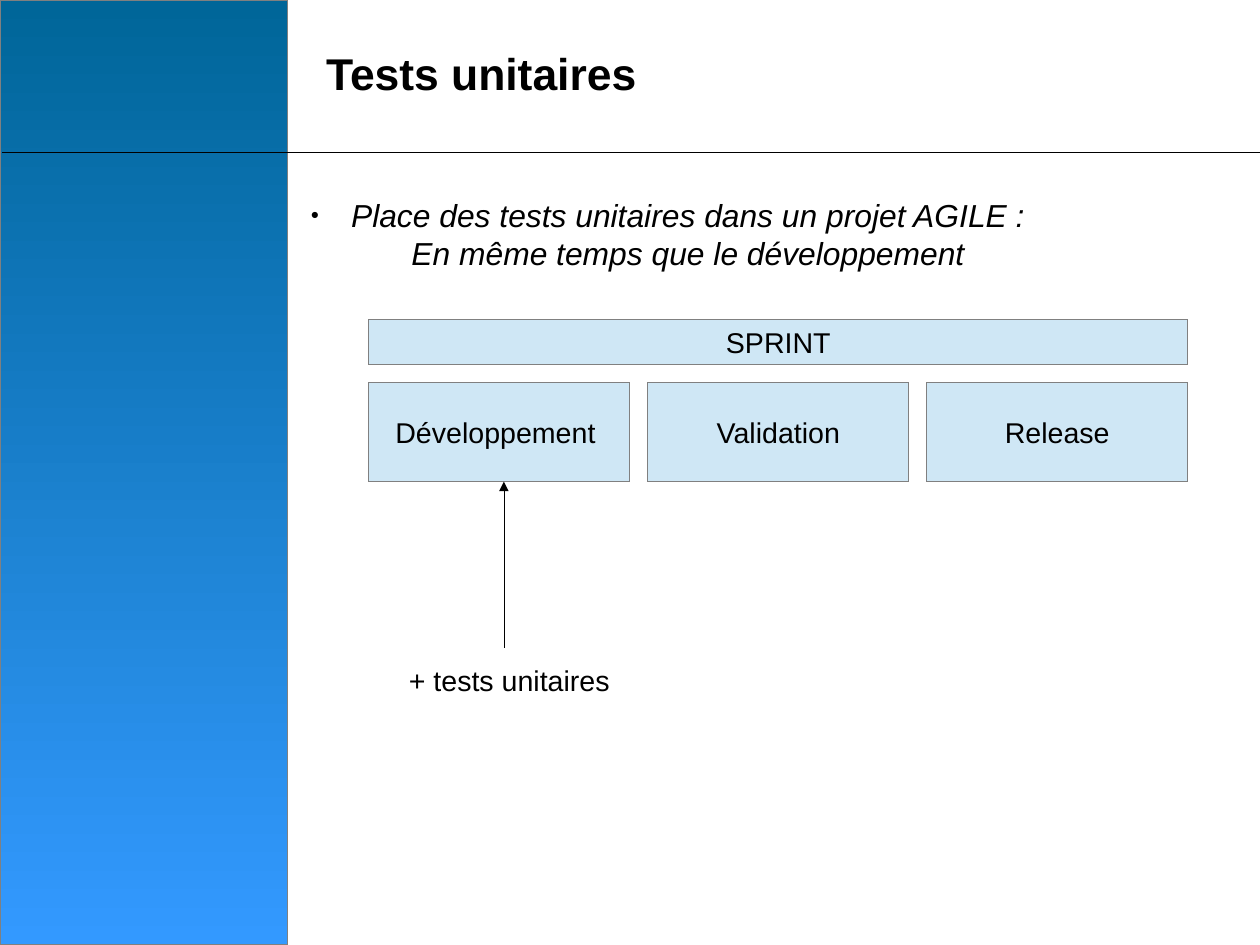
from lxml.etree import SubElement
from pptx import Presentation
from pptx.dml.color import RGBColor
from pptx.enum.shapes import MSO_CONNECTOR, MSO_SHAPE
from pptx.enum.text import MSO_ANCHOR, PP_ALIGN
from pptx.oxml.ns import qn
from pptx.util import Pt

BLACK = RGBColor(0x00, 0x00, 0x00)
GREY = RGBColor(0x80, 0x80, 0x80)
PALE_BLUE = RGBColor(0xCF, 0xE7, 0xF5)
BRIGHT_BLUE = RGBColor(0x33, 0x99, 0xFF)
DARK_BLUE = RGBColor(0x00, 0x66, 0x99)

WIDTH, HEIGHT = 793.7, 595.3
BOX_LEFT, BOX_WIDTH, BOX_STEP = 232.4, 164.4, 175.7
PHASES = ["Développement ", "Validation", "Release"]


def add_bullet(paragraph, indent, hanging, tab):
    properties = paragraph._p.get_or_add_pPr()
    properties.set("marL", str(Pt(indent)))
    properties.set("indent", str(-Pt(hanging)))
    SubElement(properties, qn("a:buSzPct"), val="45000")
    SubElement(properties, qn("a:buFont"), typeface="Arial")
    SubElement(properties, qn("a:buChar"), char="●")
    tabs = SubElement(properties, qn("a:tabLst"))
    SubElement(tabs, qn("a:tab"), pos=str(Pt(tab)), algn="l")


def write_text(frame, text, size=18, bold=False, italic=False, align=PP_ALIGN.LEFT,
               anchor=MSO_ANCHOR.TOP, margins=(7.2, 3.6), wrap=True, bullet=None):
    frame.word_wrap = wrap
    frame.vertical_anchor = anchor
    frame.margin_left = frame.margin_right = Pt(margins[0])
    frame.margin_top = frame.margin_bottom = Pt(margins[1])
    paragraph = frame.paragraphs[0]
    paragraph.text = text
    paragraph.alignment = align
    if bullet:
        add_bullet(paragraph, **bullet)
    for run in paragraph.runs:
        run.font.name = "Arial"
        run.font.size = Pt(size)
        run.font.bold = bold
        run.font.italic = italic
        run.font.color.rgb = BLACK


class SlideBuilder:
    def __init__(self, slide):
        self.slide = slide
        # A width of exactly zero would fall back to the theme's line width
        self.hairline = Pt(0.01)

    def rectangle(self, left, top, width, height):
        shape = self.slide.shapes.add_shape(
            MSO_SHAPE.RECTANGLE, Pt(left), Pt(top), Pt(width), Pt(height))
        shape.shadow.inherit = False
        shape.line.color.rgb = GREY
        shape.line.width = self.hairline
        return shape

    def gradient_panel(self, left, top, width, height, start, end):
        fill = self.rectangle(left, top, width, height).fill
        fill.gradient()
        fill.gradient_angle = 90
        for stop, color in zip(fill.gradient_stops, (start, end)):
            stop.color.rgb = color

    def box(self, left, top, width, height, text):
        shape = self.rectangle(left, top, width, height)
        shape.fill.solid()
        shape.fill.fore_color.rgb = PALE_BLUE
        write_text(shape.text_frame, text, align=PP_ALIGN.CENTER, anchor=MSO_ANCHOR.MIDDLE)

    def text(self, left, top, width, height, text, **text_format):
        shape = self.slide.shapes.add_textbox(Pt(left), Pt(top), Pt(width), Pt(height))
        write_text(shape.text_frame, text, **text_format)

    def line(self, start_x, start_y, end_x, end_y, arrow=False):
        connector = self.slide.shapes.add_connector(
            MSO_CONNECTOR.STRAIGHT, Pt(start_x), Pt(start_y), Pt(end_x), Pt(end_y))
        connector.line.color.rgb = BLACK
        connector.line.width = self.hairline
        if arrow:
            SubElement(connector.line._get_or_add_ln(), qn("a:tailEnd"), type="triangle")
        SubElement(connector._element.spPr, qn("a:effectLst"))


def main():
    presentation = Presentation()
    presentation.slide_width = Pt(WIDTH)
    presentation.slide_height = Pt(HEIGHT)
    builder = SlideBuilder(presentation.slides.add_slide(presentation.slide_layouts[6]))

    # Side panel, title and rule
    builder.text(198.4, 25.5, 459, 71, "Tests unitaires", size=28, bold=True)
    builder.gradient_panel(0, 0, 181.4, HEIGHT, BRIGHT_BLUE, DARK_BLUE)
    builder.line(795, 96.4, 1.4, 96.4)

    # Statement
    builder.text(187.2, 123.1, 601, 177,
                 "Place des tests unitaires dans un projet AGILE\u00a0:\n"
                 "\tEn même temps que le développement",
                 size=20, italic=True, margins=(0, 0),
                 bullet={"indent": 34, "hanging": 25.5, "tab": 72})

    # Sprint and its phases
    builder.box(BOX_LEFT, 201.3, 2 * BOX_STEP + BOX_WIDTH, 28.3, "SPRINT")
    for index, phase in enumerate(PHASES):
        builder.box(BOX_LEFT + index * BOX_STEP, 241, BOX_WIDTH, 62.4, phase)

    # Unit tests pointing at development
    builder.line(317.4, 408, 317.4, 303.4, arrow=True)
    builder.text(250.5, 414.3, 141, 27.4, "+ tests unitaires", wrap=False)

    presentation.save("out.pptx")


if __name__ == "__main__":
    main()
